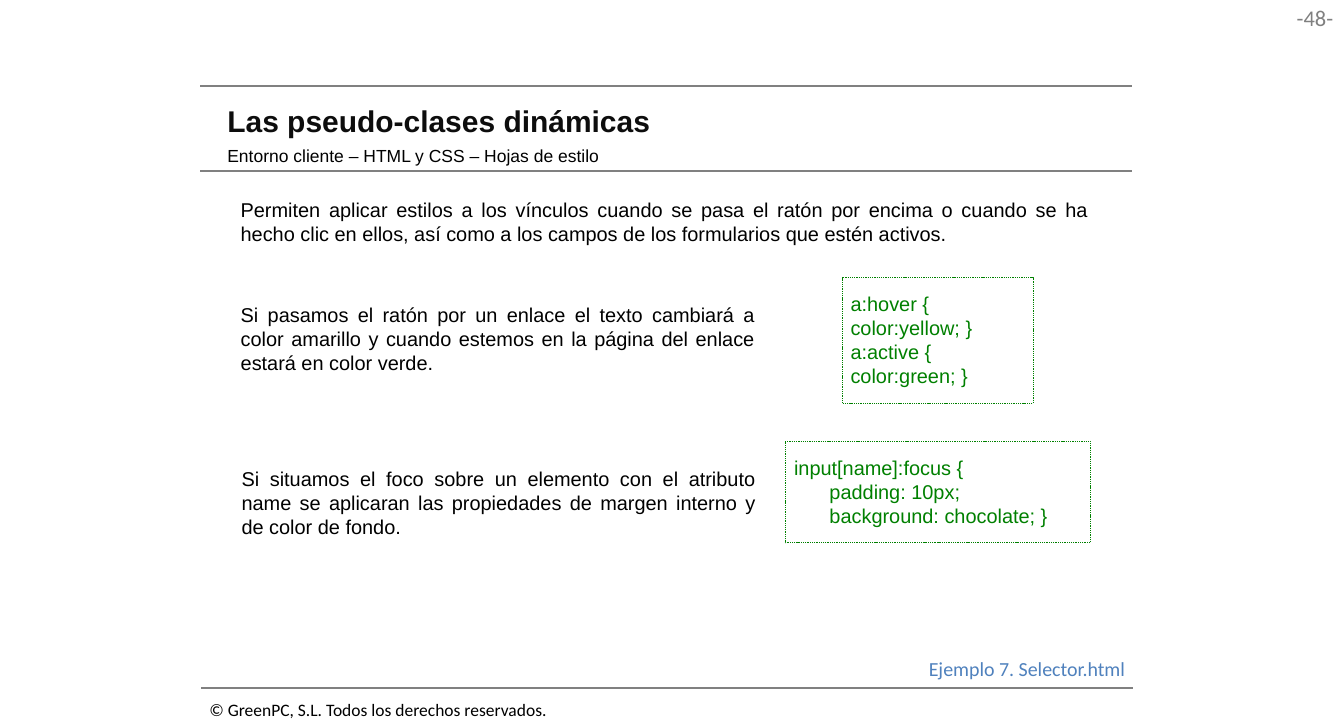
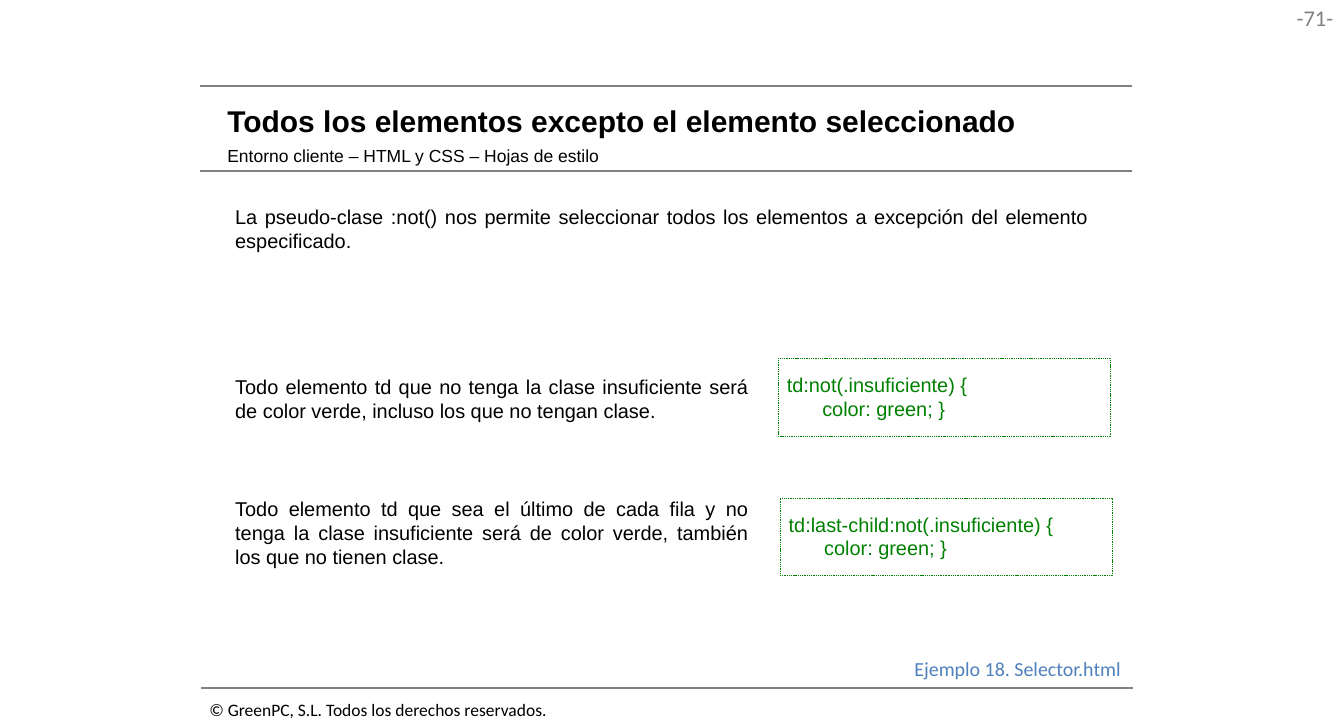
"""Build two course slides on CSS pseudo-classes."""
from typing import NamedTuple

from lxml import etree
from pptx import Presentation
from pptx.dml.color import RGBColor
from pptx.enum import dml, shapes, text
from pptx.oxml import ns
from pptx.util import Pt

BLACK, GREY, GREEN, BLUE, WHITE = "000000", "808080", "008000", "4F81BD", "FFFFFF"
LEFT, RIGHT, JUSTIFY = text.PP_ALIGN.LEFT, text.PP_ALIGN.RIGHT, text.PP_ALIGN.JUSTIFY
SUBTITLE = "Entorno cliente – HTML y CSS – Hojas de estilo"
COPYRIGHT = "© GreenPC, S.L. Todos los derechos reservados."
HEADING_INSETS = (9.4, 5)
CODE_TAB = 28.4


class Box(NamedTuple):
    """A rectangle in points."""

    left: float
    top: float
    width: float
    height: float


class Style(NamedTuple):
    """The look of a piece of text."""

    size: float
    color: str = BLACK
    font: str = "Arial"
    bold: bool = False
    align: text.PP_ALIGN = LEFT


class Rule(NamedTuple):
    """A horizontal line across the content column."""

    left: float
    top: float
    width: float = 746.6


class Passage(NamedTuple):
    """A justified explanation."""

    box: Box
    words: str


class Code(NamedTuple):
    """A framed style sheet sample."""

    box: Box
    lines: str


class Page(NamedTuple):
    """The content of one slide."""

    number: str
    title: str
    title_color: str
    passages: list[Passage]
    samples: list[Code]
    example: str
    example_box: Box


RULES = [Rule(160.6, 69.1), Rule(160.6, 136.8), Rule(161.3, 551.5)]
BODY = Style(16, align=JUSTIFY)
CODE = Style(16, GREEN)

PAGES = [
    Page(
        "-48-", "Las pseudo-clases dinámicas", "0D0D0D",
        [
            Passage(Box(185.8, 154.8, 693.4, 46.1),
                    "Permiten aplicar estilos a los vínculos cuando se pasa el ratón por encima "
                    "o cuando se ha hecho clic en ellos, así como a los campos de los "
                    "formularios que estén activos."),
            Passage(Box(185.8, 239, 426.2, 65.5),
                    "Si pasamos el ratón por un enlace el texto cambiará a color amarillo y "
                    "cuando estemos en la página del enlace estará en color verde."),
            Passage(Box(186.5, 370.1, 426.2, 65.5),
                    "Si situamos el foco sobre un elemento con el atributo name se aplicaran "
                    "las propiedades de margen interno y de color de fondo."),
        ],
        [
            Code(Box(674.6, 222.5, 153.4, 100.8),
                 "a:hover {\ncolor:yellow; }\na:active {\ncolor:green; }"),
            Code(Box(629.3, 353.5, 244.8, 81.4),
                 "input[name]:focus {\n\tpadding: 10px;\n\tbackground: chocolate; }"),
        ],
        "Ejemplo 7. Selector.html", Box(737.3, 522.7, 174.2, 26.6),
    ),
    Page(
        "-71-", "Todos los elementos excepto el elemento seleccionado", BLACK,
        [
            Passage(Box(181.4, 160.6, 697.7, 46.1),
                    "La pseudo-clase :not() nos permite seleccionar todos los elementos a "
                    "excepción del elemento especificado."),
            Passage(Box(181.4, 296.6, 425.5, 46.1),
                    "Todo elemento td que no tenga la clase insuficiente será de color verde, "
                    "incluso los que no tengan clase."),
            Passage(Box(181.4, 394.6, 425.5, 65.5),
                    "Todo elemento td que sea el último de cada fila y no tenga la clase "
                    "insuficiente será de color verde, también los que no tienen clase."),
        ],
        [
            Code(Box(623.5, 287.3, 266.4, 61.9),
                 "td:not(.insuficiente) {\n\tcolor: green; }"),
            Code(Box(625, 398.9, 266.4, 61.9),
                 "td:last-child:not(.insuficiente) {\n\tcolor: green; }"),
        ],
        "Ejemplo 18. Selector.html", Box(725.8, 522.7, 182.2, 26.6),
    ),
]


def rgb(color: str) -> RGBColor:
    """Turn a hex string into a colour."""
    return RGBColor.from_string(color)


def points(box: Box) -> list[Pt]:
    """Give the lengths of a box as Pt."""
    return [Pt(length) for length in box]


def write(shape, words: str, style: Style, insets: tuple[float, float] = (7.2, 3.6),
          anchor=text.MSO_ANCHOR.TOP, wrap: bool = True) -> None:
    """Fill a shape with text and format it."""
    frame = shape.text_frame
    frame.text = words
    frame.word_wrap = wrap
    frame.auto_size = text.MSO_AUTO_SIZE.NONE
    frame.vertical_anchor = anchor
    frame.margin_left = frame.margin_right = Pt(insets[0])
    frame.margin_top = frame.margin_bottom = Pt(insets[1])
    for paragraph in frame.paragraphs:
        paragraph.alignment = style.align
        for run in paragraph.runs:
            run.font.size = Pt(style.size)
            run.font.name = style.font
            run.font.bold = style.bold
            run.font.color.rgb = rgb(style.color)


def add_words(slide, box: Box, words: str, style: Style, **layout) -> None:
    """Add a text box."""
    write(slide.shapes.add_textbox(*points(box)), words, style, **layout)


def add_rule(slide, rule: Rule) -> None:
    """Add a grey horizontal line."""
    line = slide.shapes.add_connector(
        shapes.MSO_CONNECTOR.STRAIGHT, Pt(rule.left), Pt(rule.top),
        Pt(rule.left + rule.width), Pt(rule.top))
    line.line.color.rgb = rgb(GREY)
    line.line.width = Pt(1.5)
    etree.SubElement(line._element.spPr, ns.qn("a:effectLst"))


def add_code(slide, code: Code) -> None:
    """Add a dashed frame with code indented by a tab stop."""
    frame = slide.shapes.add_shape(shapes.MSO_SHAPE.RECTANGLE, *points(code.box))
    frame.shadow.inherit = False
    frame.fill.solid()
    frame.fill.fore_color.rgb = rgb(WHITE)
    frame.line.color.rgb = rgb(GREEN)
    frame.line.width = Pt(0.25)
    frame.line.dash_style = dml.MSO_LINE.DASH
    write(frame, code.lines, CODE, insets=(7.2, 11.5))
    for paragraph in frame.text_frame.paragraphs:
        stops = etree.SubElement(paragraph._p.get_or_add_pPr(), ns.qn("a:tabLst"))
        etree.SubElement(stops, ns.qn("a:tab"), pos=str(Pt(CODE_TAB)), algn="l")


def add_heading(slide, page: Page) -> None:
    """Place the title and the course line below it."""
    title = slide.shapes.title
    title.left, title.top, title.width, title.height = points(Box(172.8, 77, 728.6, 38.9))
    middle = text.MSO_ANCHOR.MIDDLE
    write(title, page.title, Style(24, page.title_color, bold=True),
          insets=HEADING_INSETS, anchor=middle)
    add_words(slide, Box(172.8, 111.6, 547.2, 26.6), SUBTITLE, Style(14),
              insets=HEADING_INSETS, anchor=middle)


def add_surround(slide, number: str) -> None:
    """Add the page number, the rules and the copyright line."""
    add_words(slide, Box(1017.4, 0, 59, 29.5), number,
              Style(18, GREY, "Calibri", align=RIGHT), insets=(7.9, 3.6), wrap=False)
    for rule in RULES:
        add_rule(slide, rule)
    add_words(slide, Box(160.6, 556.6, 287.3, 24.5), COPYRIGHT,
              Style(14, font="Calibri"), wrap=False)


def add_page(deck, page: Page) -> None:
    """Add one slide."""
    slide = deck.slides.add_slide(deck.slide_layouts.get_by_name("Title Only"))
    add_surround(slide, page.number)
    add_heading(slide, page)
    for passage in page.passages:
        add_words(slide, passage.box, passage.words, BODY)
    for code in page.samples:
        add_code(slide, code)
    add_words(slide, page.example_box, page.example, Style(16, BLUE, "Calibri"), wrap=False)


def main() -> None:
    """Build and save the deck."""
    deck = Presentation()
    deck.slide_width, deck.slide_height = Pt(1077.1), Pt(581)
    for page in PAGES:
        add_page(deck, page)
    deck.save("out.pptx")


if __name__ == "__main__":
    main()
